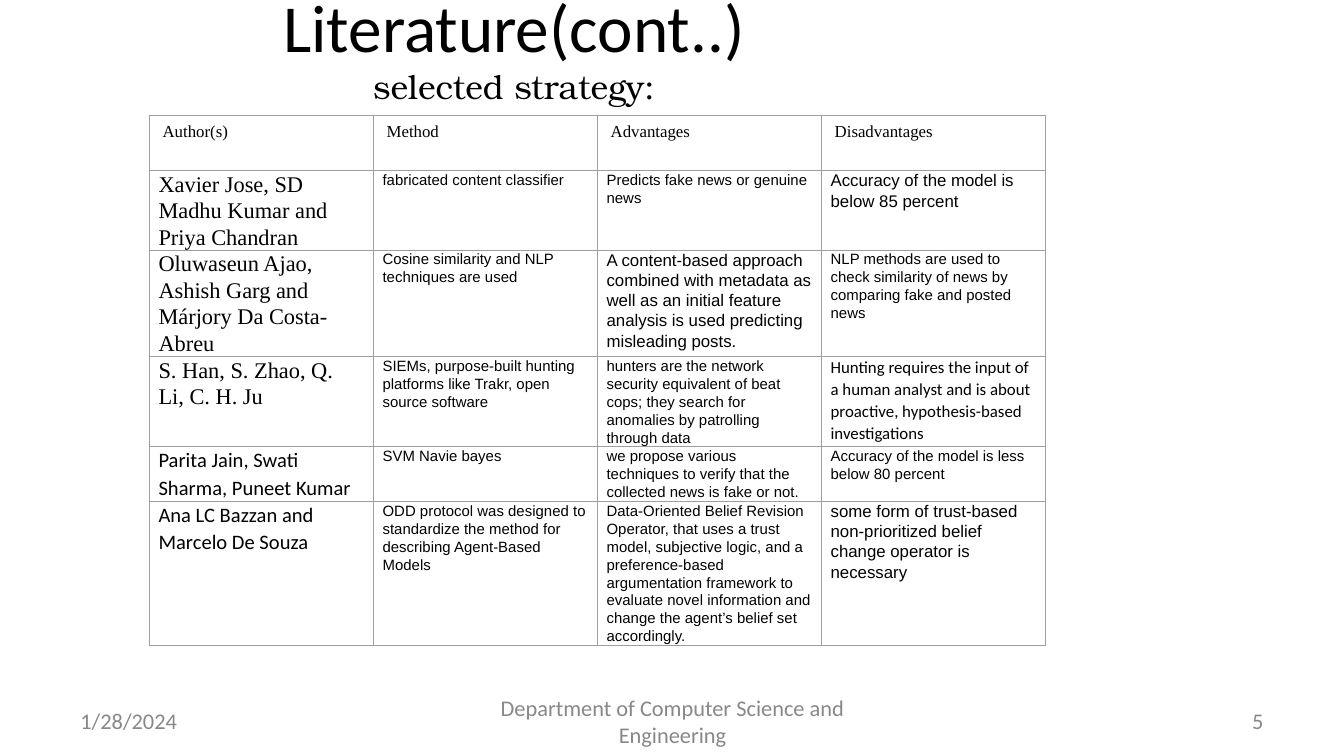
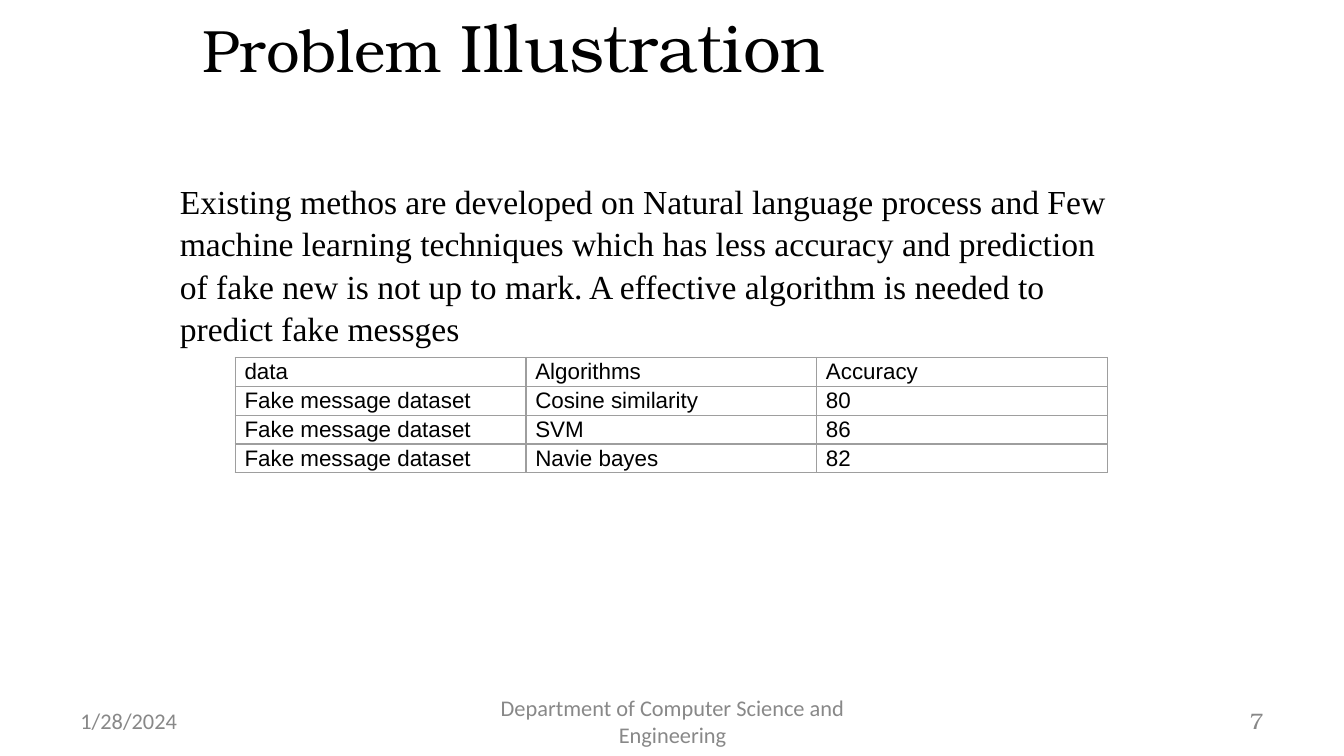
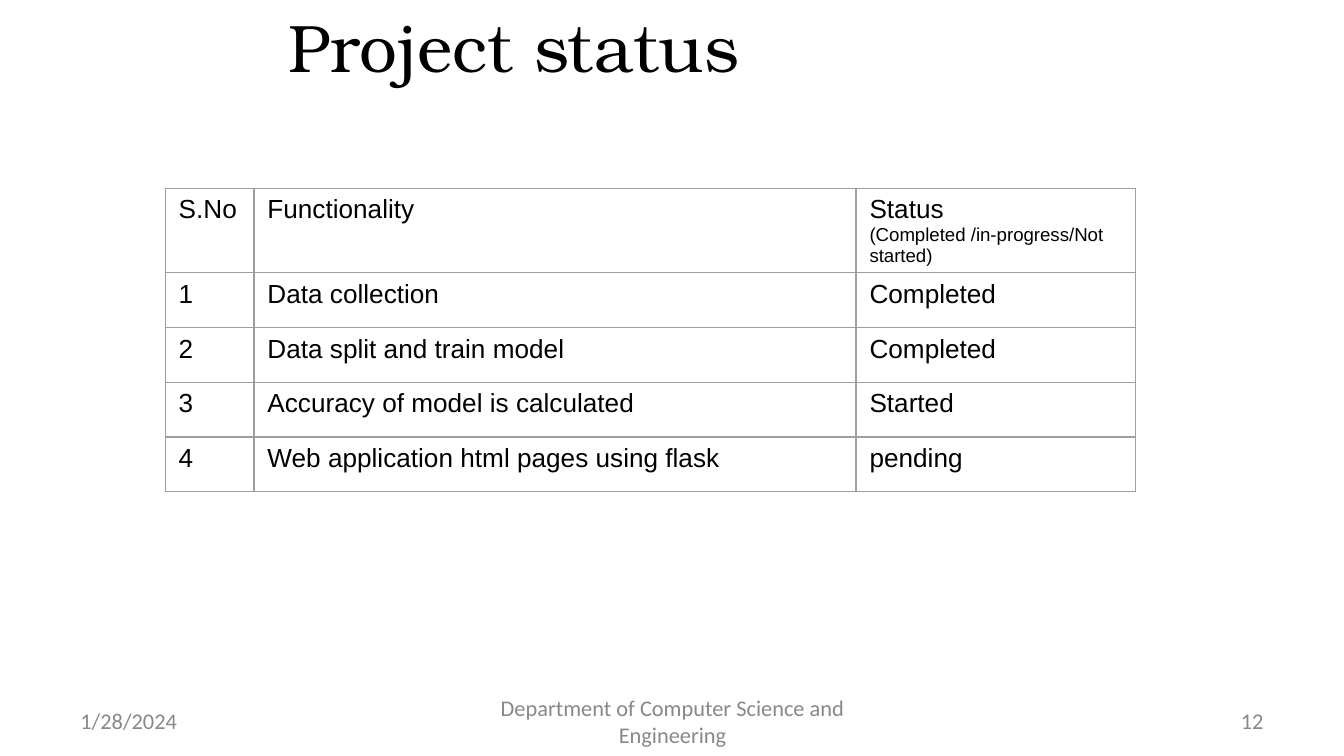
from lxml import etree
from pptx import Presentation
from pptx.dml.color import RGBColor
from pptx.enum.text import MSO_ANCHOR, MSO_AUTO_SIZE, PP_ALIGN
from pptx.oxml.ns import qn
from pptx.util import Inches, Pt

LEFT, MID, RIGHT = PP_ALIGN.LEFT, PP_ALIGN.CENTER, PP_ALIGN.RIGHT
TOP, CENTER = MSO_ANCHOR.TOP, MSO_ANCHOR.MIDDLE
FIXED = MSO_AUTO_SIZE.NONE

WIDE, HIGH = Inches(10), Inches(5.625)
HEX = {"ink": "000000", "foot": "888888", "rule": "9E9E9E"}
SANS, SERIF, BOOK, PLAIN = "Arial", "Times New Roman", "TeX Gyre Bonum", "Calibri"
BARE = "{2D5ABB26-0587-4C30-8999-92F81FD0307C}"
LOOSE = (0.1, 0.05)
TIGHT = (0.07, 0)

DATE = "1/28/2024"
DEPT = "Department of Computer Science and Engineering"

NAME = {"size": 12, "font": SERIF}
CALM = {"size": 11, "font": PLAIN}
BIG = {"size": 9}
HEADS = ["Author(s)", "Method", "Advantages", "Disadvantages"]
PAPERS = [
    [("Xavier Jose, SD Madhu Kumar and Priya Chandran", NAME),
     "fabricated content classifier",
     "Predicts fake news or genuine news",
     ("Accuracy of the model is below 85 percent", BIG)],
    [("Oluwaseun Ajao, Ashish Garg and Márjory Da Costa-Abreu", NAME),
     "Cosine similarity and NLP techniques are used",
     ("A content-based approach combined with metadata as well as an initial "
      "feature analysis is used predicting misleading posts.", BIG),
     "NLP methods are used to check similarity of news by comparing fake and posted news"],
    [("S. Han, S. Zhao, Q. Li, C. H. Ju", NAME),
     "SIEMs, purpose-built hunting platforms like Trakr, open source software",
     "hunters are the network security equivalent of beat cops; they search for "
     "anomalies by patrolling through data",
     ("Hunting requires the input of a human analyst and is about proactive, "
      "hypothesis-based investigations", {"size": 9, "font": PLAIN})],
    [("Parita Jain, Swati Sharma, Puneet Kumar", CALM),
     "SVM Navie bayes",
     "we propose various techniques to verify that the collected news is fake or not.",
     "Accuracy of the model is less below 80 percent"],
    [("Ana LC Bazzan and Marcelo De Souza", CALM),
     "ODD protocol was designed to standardize the method for describing Agent-Based Models",
     "Data-Oriented Belief Revision Operator, that uses a trust model, subjective logic, "
     "and a preference-based argumentation framework to evaluate novel information and "
     "change the agent’s belief set accordingly.",
     ("some form of trust-based non-prioritized belief change operator is necessary", BIG)],
]

DATA = "Fake message dataset"
SCORES = [
    ["data", "Algorithms", "Accuracy"],
    [DATA, "Cosine similarity", "80"],
    [DATA, "SVM", "86"],
    [DATA, "Navie bayes", "82"],
]
NEED = ("Existing methos are developed on Natural language process and Few machine "
        "learning techniques which has less accuracy and prediction of fake new is not "
        "up to mark. A effective algorithm is needed to predict fake messges")

STATE = [[("Status", {})], [("(Completed /in-progress/Not started)", {"size": 10})]]
TASKS = [
    ("Data collection", "Completed"),
    ("Data split and train model", "Completed"),
    ("Accuracy of model is calculated", "Started"),
    ("Web application html pages using flask", "pending"),
]


def across(share):
    return int(WIDE * share / 100)


def down(share):
    return int(HIGH * share / 100)


def area(left, top, width, height):
    return across(left), down(top), across(width), down(height)


def write(frame, text, size=12, font=PLAIN, color="ink", align=LEFT, line=None, after=None):
    paras = [[(text, {})]] if isinstance(text, str) else text
    for i, runs in enumerate(paras):
        para = frame.add_paragraph() if i else frame.paragraphs[0]
        para.alignment = align
        if line:
            para.line_spacing = line
        if after:
            para.space_after = Pt(after)
        for part in runs:
            if part is None:
                para.add_line_break()
                continue
            words, own = part
            run = para.add_run()
            run.text = words
            run.font.size = Pt(own.get("size", size))
            run.font.name = own.get("font", font)
            run.font.color.rgb = RGBColor.from_string(HEX[color])


def label(slide, place, text, anchor=TOP, **style):
    frame = slide.shapes.add_textbox(*area(*place)).text_frame
    frame.word_wrap = True
    frame.vertical_anchor = anchor
    write(frame, text, **style)


def head(slide, text, **style):
    title = slide.shapes.title
    title.left, title.top, title.width, title.height = area(4.8, 0, 66.9, 12.2)
    frame = title.text_frame
    frame.auto_size = FIXED
    frame.vertical_anchor = CENTER
    write(frame, text, size=36, align=MID, **style)


def foot(slide, number, font=PLAIN):
    spots = [(5, 23.3, DATE, LEFT, PLAIN),
             (34.2, 31.7, DEPT, MID, PLAIN),
             (71.7, 23.3, number, RIGHT, font)]
    for left, width, text, align, face in spots:
        label(slide, (left, 92.7, width, 5.3), text, anchor=CENTER,
              color="foot", align=align, font=face)


def frame_cell(cell):
    cell.fill.background()
    props = cell._tc.get_or_add_tcPr()
    for i, side in enumerate(("a:lnL", "a:lnR", "a:lnT", "a:lnB")):
        edge = etree.Element(qn(side), w=str(Pt(0.75)))
        fill = etree.SubElement(edge, qn("a:solidFill"))
        etree.SubElement(fill, qn("a:srgbClr"), val=HEX["rule"])
        props.insert(i, edge)


def fill_row(table, index, cells, pad=LOOSE, **style):
    for cell, text in zip(table.rows[index].cells, cells):
        own = {}
        if isinstance(text, tuple):
            text, own = text
        cell.margin_left = cell.margin_right = Inches(pad[0])
        cell.margin_top = cell.margin_bottom = Inches(pad[1])
        write(cell.text_frame, text, **{**style, **own})
        frame_cell(cell)


def grid(slide, left, top, cols, count, row):
    place = area(left, top, sum(cols), count * row)
    table = slide.shapes.add_table(count, len(cols), *place).table
    table.first_row = table.horz_banding = False
    table._tbl.tblPr.find(qn("a:tableStyleId")).text = BARE
    for col, width in zip(table.columns, cols):
        col.width = across(width)
    for line in table.rows:
        line.height = down(row)
    return table


def survey(slide):
    head(slide, [[("Literature(cont..)", {}), None,
                  ("selected strategy:", {"size": 18, "font": BOOK})]])
    table = grid(slide, 11.1, 15.3, [16.67] * 4, len(PAPERS) + 1, 7.25)
    fill_row(table, 0, HEADS, size=9, font=SERIF)
    for i, paper in enumerate(PAPERS, 1):
        fill_row(table, i, paper, pad=TIGHT, size=8, font=SANS, line=1.07, after=8)
    foot(slide, "5")


def problem(slide):
    head(slide, [[("Problem ", {"size": 32}), ("Illustration", {})]], font=BOOK)
    label(slide, (12.4, 22.8, 72.8, 23.3), NEED, size=18, font=SERIF, line=1.05)
    table = grid(slide, 17.5, 47.3, [21.63] * 3, len(SCORES), 3.6)
    for i, score in enumerate(SCORES):
        fill_row(table, i, score, pad=TIGHT, font=SANS, line=1.07, after=8)
    foot(slide, "7", font=BOOK)


def status(slide):
    head(slide, "Project status", font=BOOK)
    table = grid(slide, 12.3, 24.9, [6.6, 44.8, 20.8], len(TASKS) + 1, 7.25)
    fill_row(table, 0, ["S.No", "Functionality", STATE], size=14, font=SANS)
    for i, task in enumerate(TASKS, 1):
        fill_row(table, i, [str(i), *task], size=14, font=SANS)
    foot(slide, "12")


def main():
    deck = Presentation()
    deck.slide_width, deck.slide_height = WIDE, HIGH
    layout = deck.slide_layouts.get_by_name("Title Only")
    for build in (survey, problem, status):
        build(deck.slides.add_slide(layout))
    deck.save("out.pptx")


if __name__ == "__main__":
    main()
